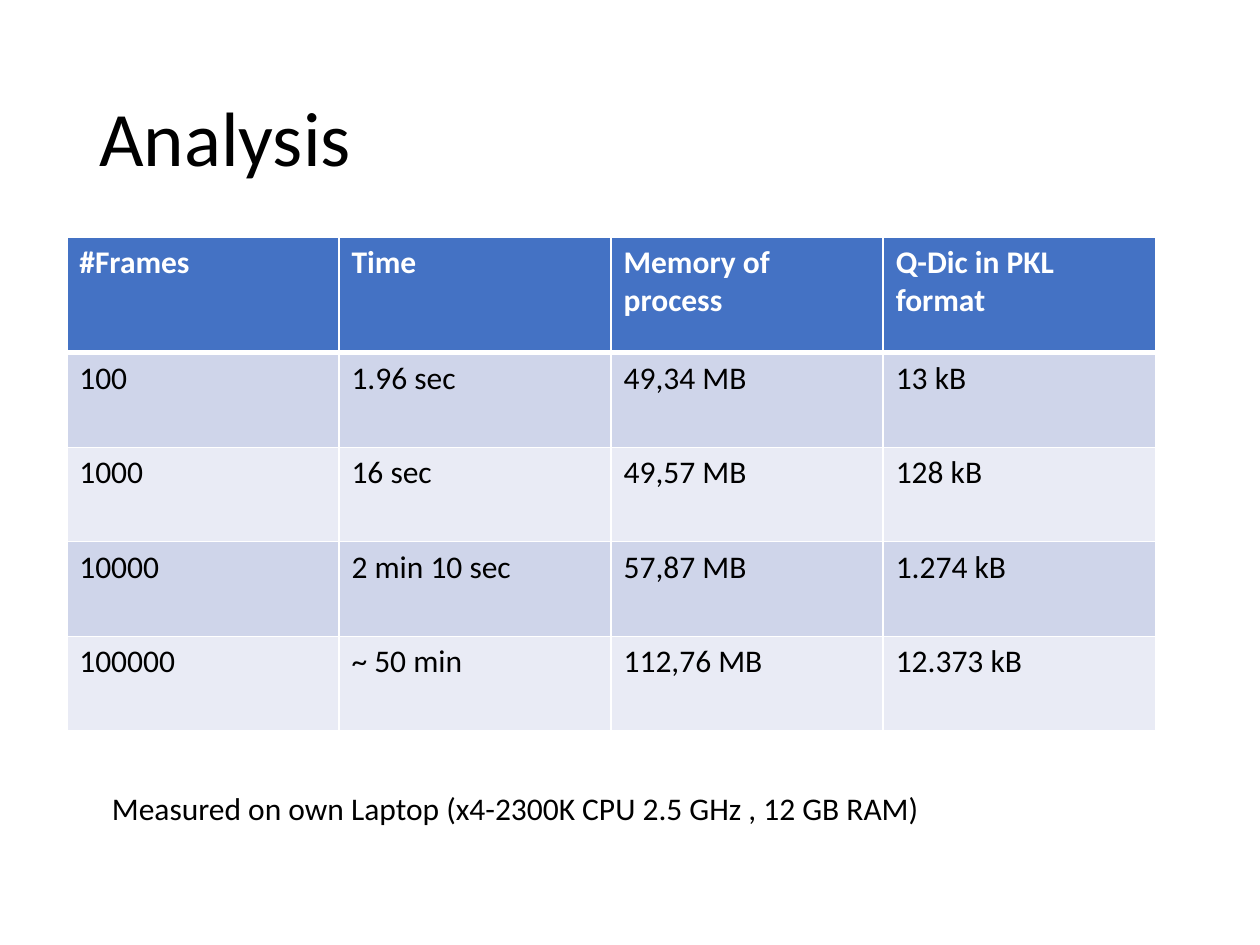
import dataclasses

import lxml.etree
import pptx
import pptx.dml.color
import pptx.enum.text
import pptx.oxml.ns
import pptx.util

Inches = pptx.util.Inches


@dataclasses.dataclass(frozen=True)
class Theme:
    font: str = "Calibri"
    title_size: int = 44
    body_size: int = 18
    ink: str = "000000"
    paper: str = "FFFFFF"
    header: str = "4472C4"
    bands: tuple = ("CFD5EA", "E9EBF5")
    thin_rule: int = 1
    header_rule: int = 3


THEME = Theme()

MEASUREMENTS = [
    ["#Frames", "Time", "Memory of process", "Q-Dic in PKL format"],
    ["100", "1.96 sec", "49,34 MB", "13 kB"],
    ["1000", "16 sec", "49,57 MB", "128 kB"],
    ["10000", "2 min 10 sec", "57,87 MB", "1.274 kB"],
    ["100000", "~ 50 min", "112,76 MB", "12.373 kB"],
]


def rgb(color):
    return pptx.dml.color.RGBColor.from_string(color)


def write(text_frame, text, size, color=THEME.ink, bold=False):
    text_frame.text = text
    for run in text_frame.paragraphs[0].runs:
        run.font.name = THEME.font
        run.font.size = pptx.util.Pt(size)
        run.font.bold = bold
        run.font.color.rgb = rgb(color)


def add_text(slide, box, text, size, anchor, line_spacing=1.0):
    frame = slide.shapes.add_textbox(*map(Inches, box)).text_frame
    frame.word_wrap = True
    frame.vertical_anchor = anchor
    write(frame, text, size)
    frame.paragraphs[0].line_spacing = line_spacing
    return frame


def set_borders(cell, widths):
    """Draw the cell's left, right, top and bottom rules."""
    properties = cell._tc.get_or_add_tcPr()
    qn = pptx.oxml.ns.qn
    for side, width in zip("LRTB", widths):
        rule = lxml.etree.SubElement(
            properties, qn(f"a:ln{side}"), w=str(pptx.util.Pt(width)))
        fill = lxml.etree.SubElement(rule, qn("a:solidFill"))
        lxml.etree.SubElement(fill, qn("a:srgbClr"), val=THEME.paper)


def add_measurements(slide, left, top, column_width, header_height, row_height):
    rows, columns = len(MEASUREMENTS), len(MEASUREMENTS[0])
    height = header_height + (rows - 1) * row_height
    table = slide.shapes.add_table(
        rows, columns, Inches(left), Inches(top),
        Inches(columns * column_width), Inches(height)).table

    for column in table.columns:
        column.width = Inches(column_width)

    for r, values in enumerate(MEASUREMENTS):
        is_header = r == 0
        table.rows[r].height = Inches(header_height if is_header else row_height)
        background = THEME.header if is_header else THEME.bands[(r - 1) % 2]
        above = THEME.header_rule if r == 1 else THEME.thin_rule
        below = THEME.header_rule if is_header else THEME.thin_rule
        for c, value in enumerate(values):
            cell = table.cell(r, c)
            write(cell.text_frame, value, THEME.body_size,
                  THEME.paper if is_header else THEME.ink, is_header)
            set_borders(cell, (THEME.thin_rule, THEME.thin_rule, above, below))
            cell.fill.solid()
            cell.fill.fore_color.rgb = rgb(background)


def main():
    deck = pptx.Presentation()
    deck.slide_width, deck.slide_height = Inches(10), Inches(7.5)
    slide = deck.slides.add_slide(deck.slide_layouts[6])
    anchors = pptx.enum.text.MSO_ANCHOR

    # Title
    add_text(slide, (0.69, 0.4, 8.62, 1.45), "Analysis",
             THEME.title_size, anchors.MIDDLE, line_spacing=0.9)

    # Run time and memory by number of frames
    add_measurements(slide, left=0.53, top=1.88, column_width=2.16,
                     header_height=0.92, row_height=0.75)

    # Test machine
    machine = add_text(slide, (0.79, 6.21, 7.74, 0.4),
                       "Measured on own Laptop (x4-2300K CPU 2.5 GHz , 12 GB RAM)",
                       THEME.body_size, anchors.TOP)
    machine.auto_size = pptx.enum.text.MSO_AUTO_SIZE.SHAPE_TO_FIT_TEXT

    deck.save("out.pptx")


main()
